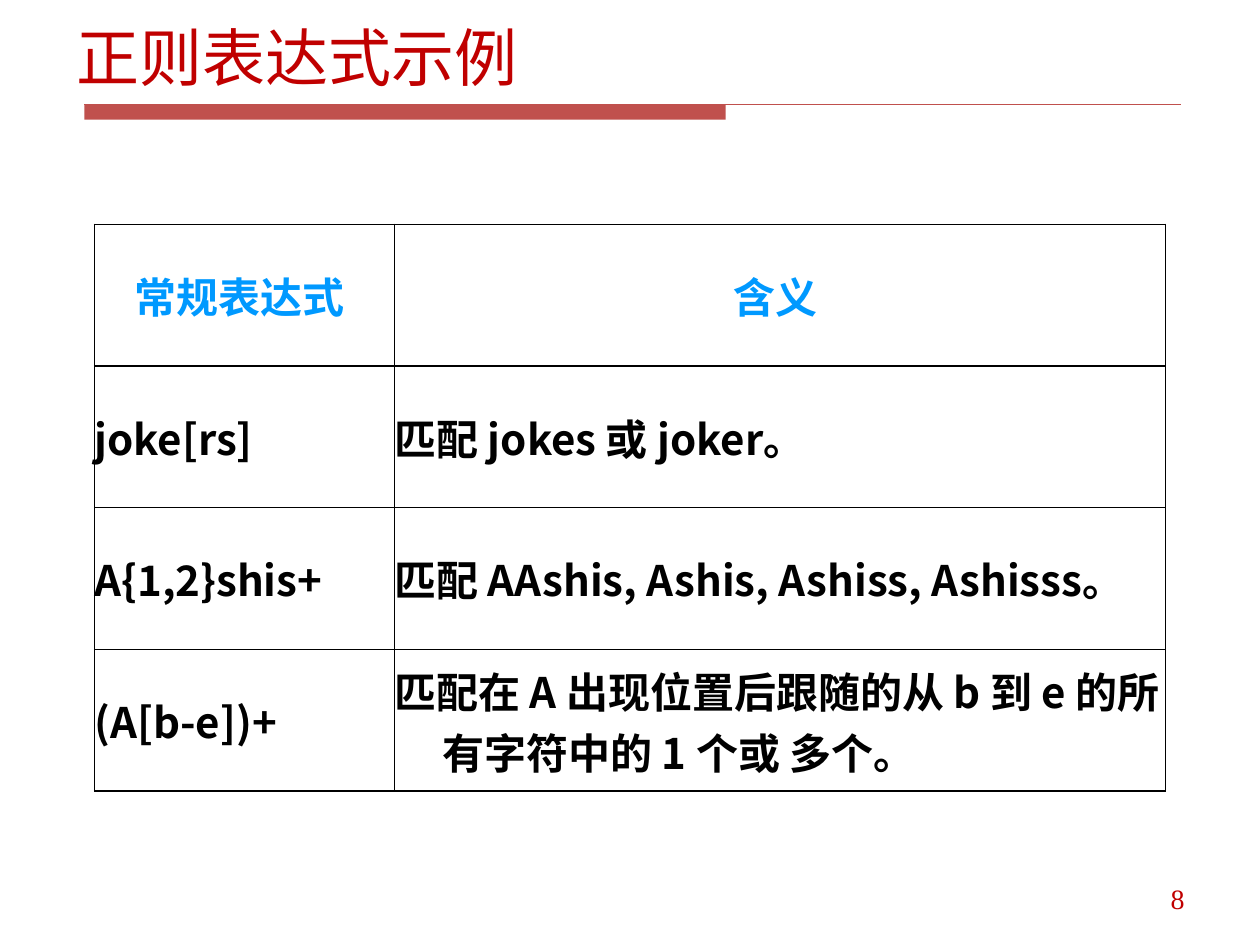
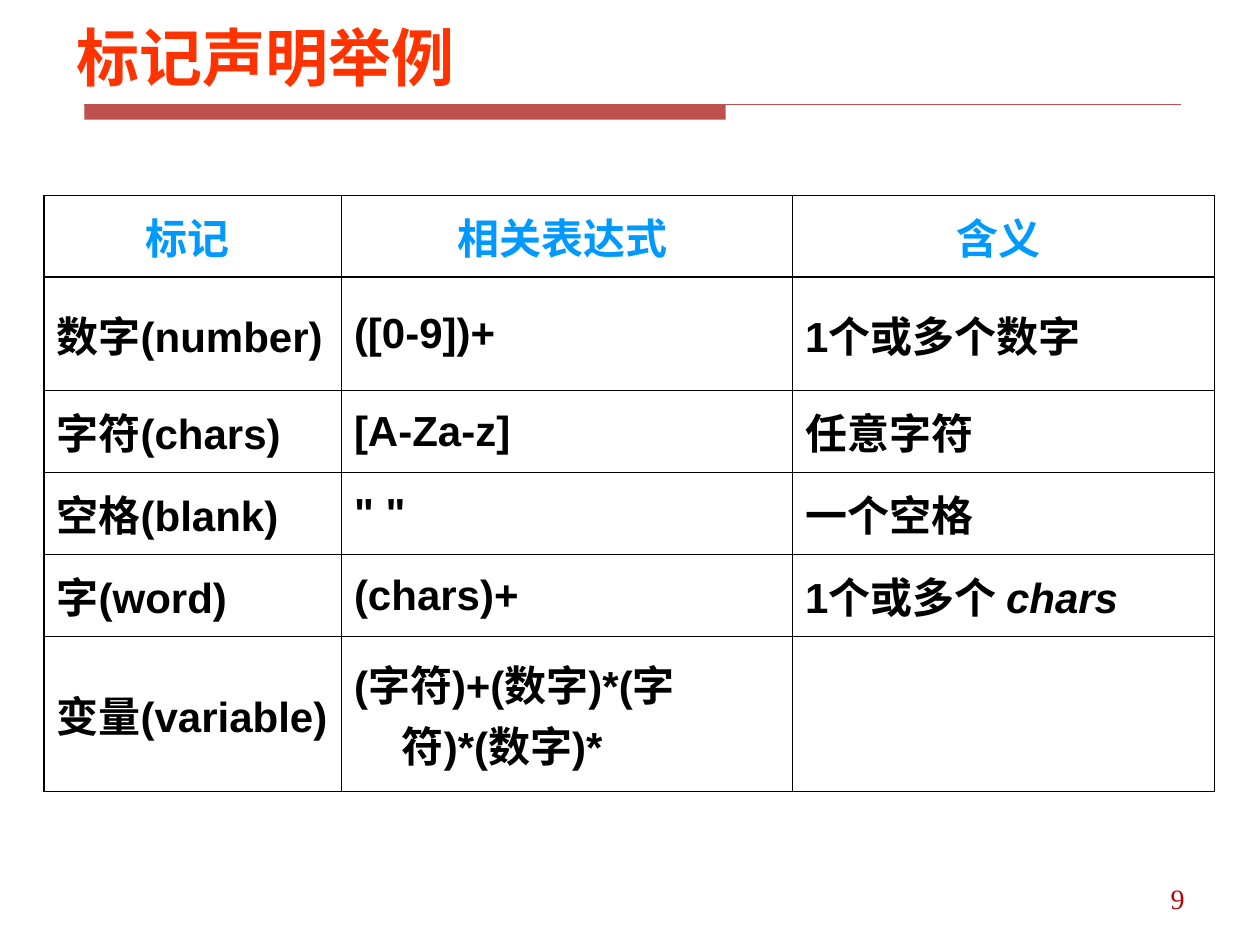
from dataclasses import dataclass
from lxml import etree
from pptx import Presentation
from pptx.dml.color import RGBColor
from pptx.enum.shapes import MSO_CONNECTOR, MSO_SHAPE
from pptx.enum.text import MSO_ANCHOR, PP_ALIGN
from pptx.oxml.ns import qn
from pptx.slide import Slide
from pptx.table import _Cell
from pptx.text.text import _Paragraph
from pptx.util import Inches, Pt

LEFT, CENTER, RIGHT = PP_ALIGN.LEFT, PP_ALIGN.CENTER, PP_ALIGN.RIGHT
TOP, MIDDLE = MSO_ANCHOR.TOP, MSO_ANCHOR.MIDDLE
RECT, STRAIGHT = MSO_SHAPE.RECTANGLE, MSO_CONNECTOR.STRAIGHT
BLANK = 6


@dataclass(frozen=True)
class Theme:
    red: str = "C00000"
    orange: str = "FF3300"
    band: str = "C0504D"
    blue: str = "0099FF"
    black: str = "000000"
    white: str = "FFFFFF"
    cjk: str = "Noto Sans CJK SC"
    sans: str = "Arial"
    serif: str = "Times New Roman"
    title: int = 36
    body: int = 24
    number: int = 16


THEME = Theme()


@dataclass(frozen=True)
class Style:
    size: int
    font: str
    color: str
    bold: bool = False
    align: PP_ALIGN = LEFT


@dataclass(frozen=True)
class Box:
    left: float
    top: float
    width: float
    height: float

    def place(self) -> tuple[int, ...]:
        return tuple(Inches(v) for v in (self.left, self.top, self.width, self.height))


@dataclass(frozen=True)
class Grid:
    left: float
    top: float
    cols: list[float]
    rows: list[float]
    font: str
    inset: tuple[float, float]
    cells: list[list[str]]
    accent: str = ""


@dataclass(frozen=True)
class Page:
    number: int
    title: str
    color: str
    bold: bool
    grid: Grid


TITLE_BOX = Box(0.51, 0, 8.99, 0.89)
NUMBER_BOX = Box(7.17, 6.95, 2.33, 0.4)
BAND_BOX = Box(0.67, 0.83, 5.09, 0.12)
RULE_END = 9.37
INDENT = 0.38

PAGES = [
    Page(8, "正则表达式示例", THEME.red, False, Grid(
        0.75, 1.78, [2.38, 6.12], [1.125] * 4, THEME.cjk, (0, 0), [
            ["常规表达式 ", "含义 "],
            ["joke[rs]", "匹配 jokes 或 joker。"],
            ["A{1,2}shis+", "匹配 AAshis, Ashis, Ashiss, Ashisss。"],
            ["(A[b-e])+", "匹配在 A 出现位置后跟随的从 b 到 e 的所有字符中的 1 个或 多个。"],
        ])),
    Page(9, "标记声明举例", THEME.orange, True, Grid(
        0.35, 1.55, [2.36, 3.58, 3.35], [0.65] * 5 + [1.23], THEME.sans, (0.1, 0.05), [
            ["标记 ", "相关表达式 ", "含义 "],
            ["数字(number)", "([0-9])+", "1个或多个数字"],
            ["字符(chars)", "[A-Za-z]", "任意字符"],
            ["空格(blank)", '" "', "一个空格"],
            ["字(word)", "(chars)+", "1个或多个 chars"],
            ["变量(variable)", "(字符)+(数字)*(字符)*(数字)*", ""],
        ], accent=" chars")),
]


def rgb(color: str) -> RGBColor:
    return RGBColor.from_string(color)


def dress(para: _Paragraph, style: Style) -> None:
    """Give a paragraph its style, with the shared East Asian font."""
    para.alignment = style.align
    font = para.font
    font.size, font.name, font.bold = Pt(style.size), style.font, style.bold
    font.color.rgb = rgb(style.color)
    latin = para._p.pPr.find(".//" + qn("a:latin"))
    east = etree.Element(qn("a:ea"), typeface=THEME.cjk)
    latin.addnext(east)


def add_text(slide: Slide, box: Box, text: str, style: Style, anchor: MSO_ANCHOR) -> None:
    frame = slide.shapes.add_textbox(*box.place()).text_frame
    frame.word_wrap = True
    frame.vertical_anchor = anchor
    para = frame.paragraphs[0]
    para.text = text
    dress(para, style)


def add_band(slide: Slide) -> None:
    bar = slide.shapes.add_shape(RECT, *BAND_BOX.place())
    bar.shadow.inherit = False
    bar.fill.solid()
    bar.fill.fore_color.rgb = rgb(THEME.band)
    bar.line.fill.background()
    top = Inches(BAND_BOX.top)
    rule = slide.shapes.add_connector(STRAIGHT, Inches(BAND_BOX.left), top, Inches(RULE_END), top)
    rule.line.color.rgb = rgb(THEME.band)
    rule.line.width = Pt(0.75)
    etree.SubElement(rule._element.spPr, qn("a:effectLst"))


def frame_cell(cell: _Cell) -> None:
    """Fill the cell white and rule all four sides."""
    cell.fill.solid()
    cell.fill.fore_color.rgb = rgb(THEME.white)
    props = cell._tc.get_or_add_tcPr()
    for spot, side in enumerate("LRTB"):
        line = etree.Element(qn(f"a:ln{side}"), w=str(Pt(1)))
        fill = etree.SubElement(line, qn("a:solidFill"))
        etree.SubElement(fill, qn("a:srgbClr"), val=THEME.black)
        props.insert(spot, line)


def fill_cell(cell: _Cell, text: str, style: Style, grid: Grid) -> None:
    frame_cell(cell)
    across, down = grid.inset
    cell.margin_left = cell.margin_right = Inches(across)
    cell.margin_top = cell.margin_bottom = Inches(down)
    cell.vertical_anchor = MIDDLE
    if not text:
        return
    para = cell.text_frame.paragraphs[0]
    if grid.accent and text.endswith(grid.accent):
        word = grid.accent.strip()
        para.add_run().text = text.removesuffix(word)
        run = para.add_run()
        run.text = word
        run.font.italic = True
    else:
        para.text = text
    dress(para, style)
    props = para._p.get_or_add_pPr()
    props.set("marL", str(Inches(INDENT)))
    props.set("indent", str(-Inches(INDENT)))


def add_grid(slide: Slide, grid: Grid) -> None:
    box = Box(grid.left, grid.top, sum(grid.cols), sum(grid.rows))
    table = slide.shapes.add_table(len(grid.rows), len(grid.cols), *box.place()).table
    table.first_row = table.horz_banding = False
    for col, width in zip(table.columns, grid.cols):
        col.width = Inches(width)
    for row, height in zip(table.rows, grid.rows):
        row.height = Inches(height)
    head = Style(THEME.body, grid.font, THEME.blue, True, CENTER)
    body = Style(THEME.body, grid.font, THEME.black, True)
    for r, texts in enumerate(grid.cells):
        for c, text in enumerate(texts):
            fill_cell(table.cell(r, c), text, body if r else head, grid)


def add_page(deck: Presentation, page: Page) -> None:
    slide = deck.slides.add_slide(deck.slide_layouts[BLANK])
    add_band(slide)
    title = Style(THEME.title, THEME.cjk, page.color, page.bold)
    add_text(slide, TITLE_BOX, page.title, title, MIDDLE)
    number = Style(THEME.number, THEME.serif, THEME.red, align=RIGHT)
    add_text(slide, NUMBER_BOX, str(page.number), number, TOP)
    add_grid(slide, page.grid)


def main() -> None:
    deck = Presentation()
    deck.slide_width, deck.slide_height = Inches(10), Inches(7.5)
    for page in PAGES:
        add_page(deck, page)
    deck.save("out.pptx")


if __name__ == "__main__":
    main()
